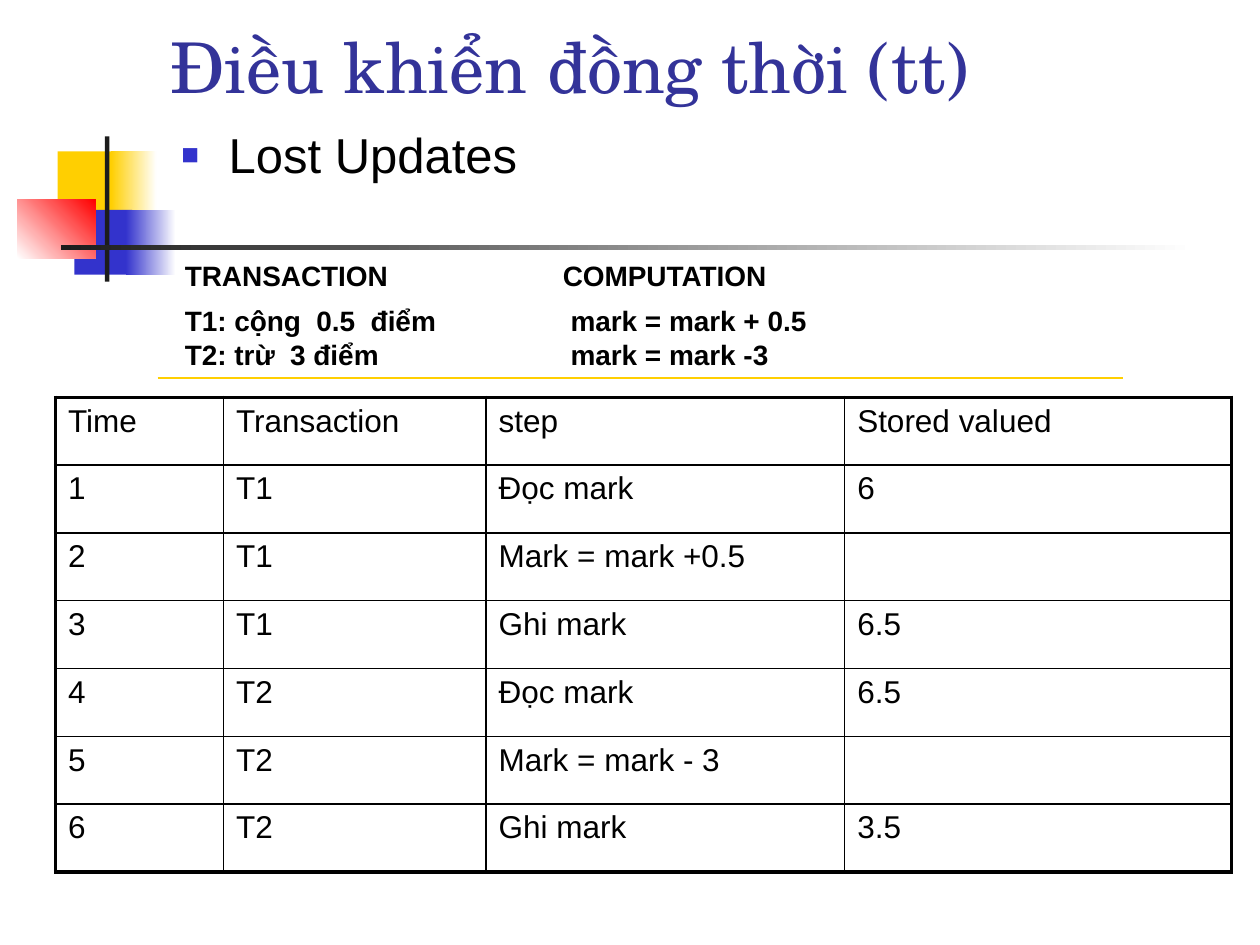
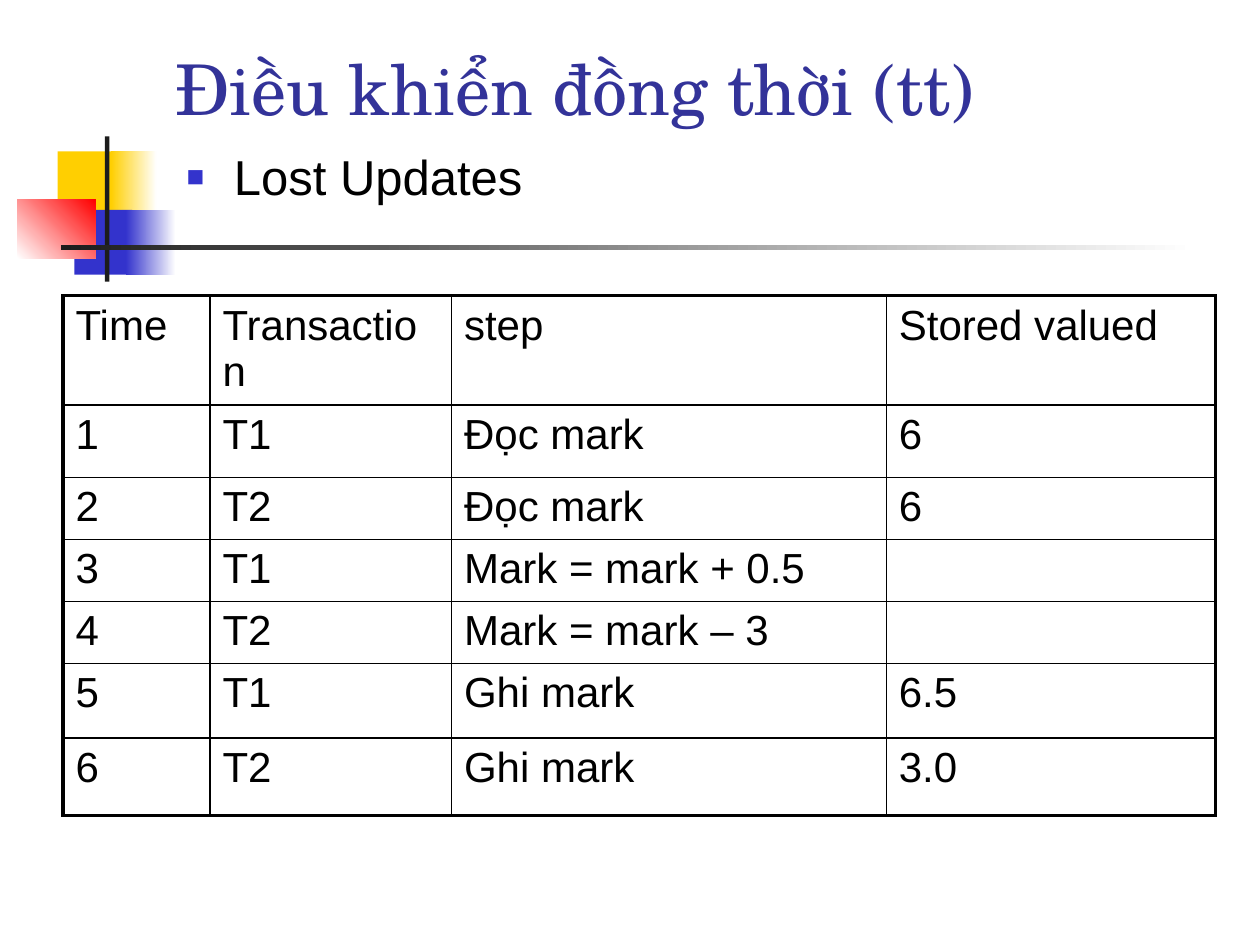
import dataclasses

import lxml.etree
import pptx
import pptx.dml.color
import pptx.enum.shapes
import pptx.enum.text
import pptx.util
from pptx.oxml.ns import qn

Pt = pptx.util.Pt


@dataclasses.dataclass(frozen=True)
class Theme:
    head: str = "TeX Gyre Schola"
    text: str = "Arial"
    ink: str = "000000"
    title: str = "333399"
    blue: str = "3333CC"
    gold: str = "FFCF01"
    red: str = "FF0000"
    dark: str = "1C1C1C"
    white: str = "FFFFFF"
    big: float = 40
    list: float = 28
    note: float = 16
    thin: float = 1
    thick: float = 2.25


THEME = Theme()
TITLE = "Điều khiển đồng thời (tt)"
TOPIC = "Lost Updates"
HEADS = ("Time", "Transaction", "step", "Stored valued")


def rgb(code):
    return pptx.dml.color.RGBColor.from_string(code)


def place(shape, box):
    shape.left, shape.top, shape.width, shape.height = (Pt(n) for n in box)


def style(para, size, color=THEME.ink, face=THEME.text, bold=False):
    font = para.font
    font.size, font.name, font.bold = Pt(size), face, bold
    font.color.rgb = rgb(color)


def add(parent, tag, **attrs):
    return lxml.etree.SubElement(parent, qn(tag), attrs)


# Corner squares and rules, kept on the master for every slide
def motif(slide, master, box):
    left, top = box[:2]
    parts = (
        ((23, 8.5, 34.5, 37.5), (THEME.gold,), 0),
        ((53.5, 8.5, 26, 37.5), (THEME.gold, THEME.white), 0),
        ((32.5, 42, 33, 37), (THEME.blue,), 0),
        ((62, 42, 28.5, 37), (THEME.blue, THEME.white), 0),
        ((0, 36, 44.5, 33.5), (THEME.white, THEME.red), 45),
        ((50, 0, 2.5, 83), (THEME.dark,), 0),
        ((25, 62.25, 648, 2.5), (THEME.dark, THEME.white), 0),
    )
    tree = master.element.cSld.spTree
    for i, ((x, y, wide, high), tones, angle) in enumerate(parts):
        shape = slide.shapes.add_shape(
            pptx.enum.shapes.MSO_SHAPE.RECTANGLE,
            Pt(left + x), Pt(top + y), Pt(wide), Pt(high))
        shape.shadow.inherit = False
        shape.line.fill.background()
        if len(tones) == 1:
            shape.fill.solid()
            shape.fill.fore_color.rgb = rgb(tones[0])
        else:
            shape.fill.gradient()
            shape.fill.gradient_angle = angle
            for stop, tone in zip(shape.fill.gradient_stops, tones):
                stop.color.rgb = rgb(tone)
        # Behind the master's own placeholders, with an id of its own
        shape.element.nvSpPr.cNvPr.set("id", str(50 + i))
        tree.insert(2 + i, shape.element)


# Title and the bulleted topic below it
def header(slide, box):
    left, top, wide, high = box
    title, body = slide.placeholders
    place(title, box)
    place(body, (left + 6.5, top + high - 1, 300, 48))
    for shape, words in ((title, TITLE), (body, TOPIC)):
        frame = shape.text_frame
        frame.text = words
        frame.word_wrap = True
        frame.auto_size = pptx.enum.text.MSO_AUTO_SIZE.NONE
    frame = title.text_frame
    frame.vertical_anchor = pptx.enum.text.MSO_ANCHOR.BOTTOM
    para = frame.paragraphs[0]
    para.alignment = pptx.enum.text.PP_ALIGN.LEFT
    style(para, THEME.big, THEME.title, THEME.head)

    body.text_frame.margin_top = Pt(7)
    para = body.text_frame.paragraphs[0]
    para.space_before = Pt(0)
    props = para._p.get_or_add_pPr()
    props.set("marL", str(Pt(27)))
    props.set("indent", str(-Pt(27)))
    add(add(props, "a:buClr"), "a:srgbClr", val=THEME.blue)
    add(props, "a:buSzPct", val="60000")
    add(props, "a:buFont", typeface=THEME.text)
    add(props, "a:buChar", char="■")
    style(para, THEME.list)


# Two-column summary with a rule under it
def summary(slide, box, lines):
    left, top, wide, high = box
    frame = slide.shapes.add_textbox(*(Pt(n) for n in box)).text_frame
    frame.word_wrap = True
    for i, line in enumerate(lines):
        para = frame.paragraphs[0] if i == 0 else frame.add_paragraph()
        para.text = line
        para.space_after = Pt(0 if i else 7)
        props = para._p.get_or_add_pPr()
        add(add(props, "a:tabLst"), "a:tab", pos=str(Pt(216)), algn="l")
        style(para, THEME.note, bold=True)

    rule = slide.shapes.add_connector(
        pptx.enum.shapes.MSO_CONNECTOR.STRAIGHT,
        Pt(left - 8.5), Pt(top + 72), Pt(left + 543.5), Pt(top + 72))
    rule.line.color.rgb = rgb(THEME.gold)
    rule.line.width = Pt(THEME.thin)
    add(rule.element.spPr, "a:effectLst")


def border(cell, edges):
    props = cell._tc.get_or_add_tcPr()
    for side, outer in edges:
        width = THEME.thick if outer else THEME.thin
        line = add(props, f"a:ln{side}", w=str(Pt(width)))
        add(add(line, "a:solidFill"), "a:srgbClr", val=THEME.ink)


# Schedule of steps: thick frame, thin grid
def schedule(slide, spot, cols, highs, rows, size):
    rows = (HEADS, *rows)
    grid = slide.shapes.add_table(
        len(rows), len(cols), Pt(spot[0]), Pt(spot[1]),
        Pt(sum(cols)), Pt(sum(highs))).table
    grid.first_row = grid.horz_banding = False
    for col, wide in zip(grid.columns, cols):
        col.width = Pt(wide)
    for row, high in zip(grid.rows, highs):
        row.height = Pt(high)
    for r, row in enumerate(rows):
        for c, words in enumerate(row):
            cell = grid.cell(r, c)
            cell.text = words
            style(cell.text_frame.paragraphs[0], size)
            border(cell, (("L", c == 0), ("R", c == len(cols) - 1),
                          ("T", r == 0), ("B", r == len(rows) - 1)))
            cell.fill.background()


def main():
    deck = pptx.Presentation()
    deck.slide_width, deck.slide_height = Pt(720), Pt(540)
    layout = deck.slide_layouts[1]

    # Serial run
    slide = deck.slides.add_slide(layout)
    motif(slide, deck.slide_master, (10, 78, 673, 83))
    header(slide, (90, 12.25, 613.5, 53))
    summary(slide, (98.5, 144, 456, 92), (
        "TRANSACTION\tCOMPUTATION",
        "T1: cộng  0.5  điểm\t mark = mark + 0.5",
        "T2: trừ  3 điểm\t mark = mark -3",
    ))
    schedule(slide, (31.75, 227), (96, 150, 205, 221), [38.75] * 7, (
        ("1", "T1", "Đọc mark", "6"),
        ("2", "T1", "Mark = mark +0.5", ""),
        ("3", "T1", "Ghi mark", "6.5"),
        ("4", "T2", "Đọc mark", "6.5"),
        ("5", "T2", "Mark = mark - 3", ""),
        ("6", "T2", "Ghi mark", "3.5"),
    ), 18)

    # Mixed run that loses an update
    slide = deck.slides.add_slide(layout)
    header(slide, (93, 30.25, 613.5, 47.5))
    schedule(slide, (36, 169), (84, 138, 248.5, 188),
             (62.5, 41.25, 35.5, 35.5, 35.5, 42.5, 44.5), (
        ("1", "T1", "Đọc mark", "6"),
        ("2", "T2", "Đọc mark", "6"),
        ("3", "T1", "Mark = mark + 0.5", ""),
        ("4", "T2", "Mark = mark – 3", ""),
        ("5", "T1", "Ghi mark", "6.5"),
        ("6", "T2", "Ghi mark", "3.0"),
    ), 24)

    deck.save("out.pptx")


if __name__ == "__main__":
    main()
